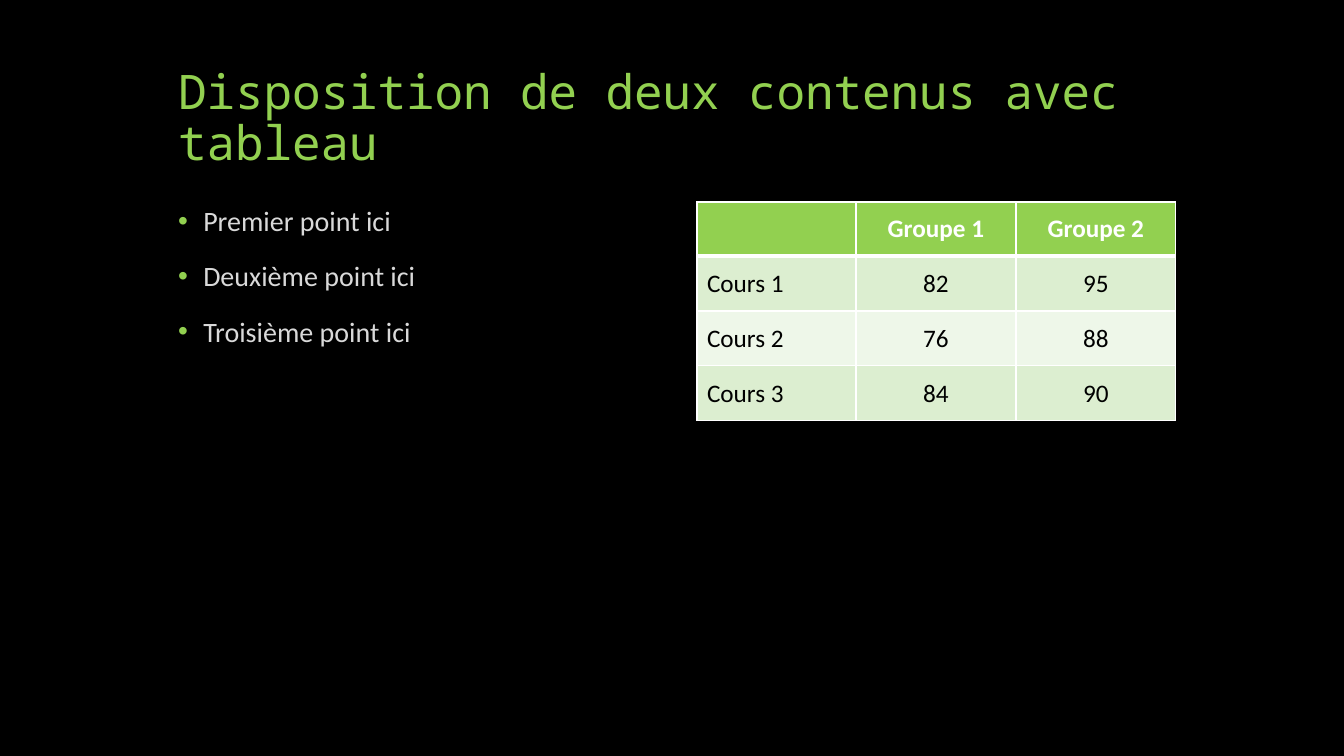
from pptx import Presentation
from pptx.dml.color import RGBColor
from pptx.enum.text import MSO_ANCHOR, MSO_AUTO_SIZE, PP_ALIGN
from pptx.oxml import parse_xml
from pptx.oxml.ns import nsdecls
from pptx.util import Pt

PX = 914400 / 100.8
GREEN, WHITE, BLACK, GREY = "92D050", "FFFFFF", "000000", "D9D9D9"
BANDS = ["EEF7E9", "DCEED0"]


def px(*nums):
    return [round(n * PX) for n in nums]


def add_run(para, text, font, size, color, bold=False):
    run = para.add_run()
    run.text = text
    run.font.name = font
    run.font.size = Pt(size)
    run.font.bold = bold
    run.font.color.rgb = RGBColor.from_string(color)


# Slide and background
deck = Presentation()
deck.slide_width, deck.slide_height = px(1344, 756)
slide = deck.slides.add_slide(deck.slide_layouts[1])
slide.background.fill.solid()
slide.background.fill.fore_color.rgb = RGBColor.from_string(BLACK)

# Title
title = slide.shapes.title
title.left, title.top, title.width, title.height = px(168, 50, 1008, 126)
frame = title.text_frame
frame.auto_size = MSO_AUTO_SIZE.NONE
frame.vertical_anchor = MSO_ANCHOR.BOTTOM
para = frame.paragraphs[0]
para.alignment = PP_ALIGN.LEFT
para.line_spacing = 0.9
add_run(para, "Disposition de deux contenus avec tableau", "Noto Sans Mono", 34, GREEN)

# Bullet list
body = slide.placeholders[1]
body.left, body.top, body.width, body.height = px(168, 202, 479, 470)
frame = body.text_frame
frame.auto_size = MSO_AUTO_SIZE.NONE
for i, rank in enumerate(["Premier", "Deuxième", "Troisième"]):
    para = frame.add_paragraph() if i else frame.paragraphs[0]
    para.line_spacing = 0.9
    para.space_before = Pt(18)
    props = para._p.get_or_add_pPr()
    props.set("marL", "228600")
    props.set("indent", "-228600")
    props.append(parse_xml(f'<a:buClr {nsdecls("a")}><a:srgbClr val="{GREEN}"/></a:buClr>'))
    props.append(parse_xml(f'<a:buFont {nsdecls("a")} typeface="Arial"/>'))
    props.append(parse_xml(f'<a:buChar {nsdecls("a")} char="•"/>'))
    add_run(para, f"{rank} point ici", "Calibri", 20, GREY)

# Table of groups by course
rows = [
    ["", "Groupe\u00a01", "Groupe\u00a02"],
    ["Cours\u00a01", "82", "95"],
    ["Cours\u00a02", "76", "88"],
    ["Cours\u00a03", "84", "90"],
]
table = slide.shapes.add_table(4, 3, *px(697, 202, 479, 219)).table
for col, width in zip(table.columns, px(159, 160, 160)):
    col.width = width
for row, height in zip(table.rows, px(54, 55, 55, 55)):
    row.height = height

for r, texts in enumerate(rows):
    head = r == 0
    for c, text in enumerate(texts):
        cell = table.cell(r, c)
        cell.vertical_anchor = MSO_ANCHOR.MIDDLE
        props = cell._tc.get_or_add_tcPr()
        for side in "LRTB":
            # The rule under the header row is heavier
            thick = (side == "B" and head) or (side == "T" and r == 1)
            props.append(parse_xml(
                f'<a:ln{side} {nsdecls("a")} w="{Pt(3 if thick else 1)}"><a:solidFill>'
                f'<a:srgbClr val="{WHITE}"/></a:solidFill></a:ln{side}>'))
        cell.fill.solid()
        cell.fill.fore_color.rgb = RGBColor.from_string(GREEN if head else BANDS[r % 2])
        para = cell.text_frame.paragraphs[0]
        para.alignment = PP_ALIGN.CENTER if c else PP_ALIGN.LEFT
        if text:
            add_run(para, text, "Calibri", 18, WHITE if head else BLACK, head)

deck.save("out.pptx")
